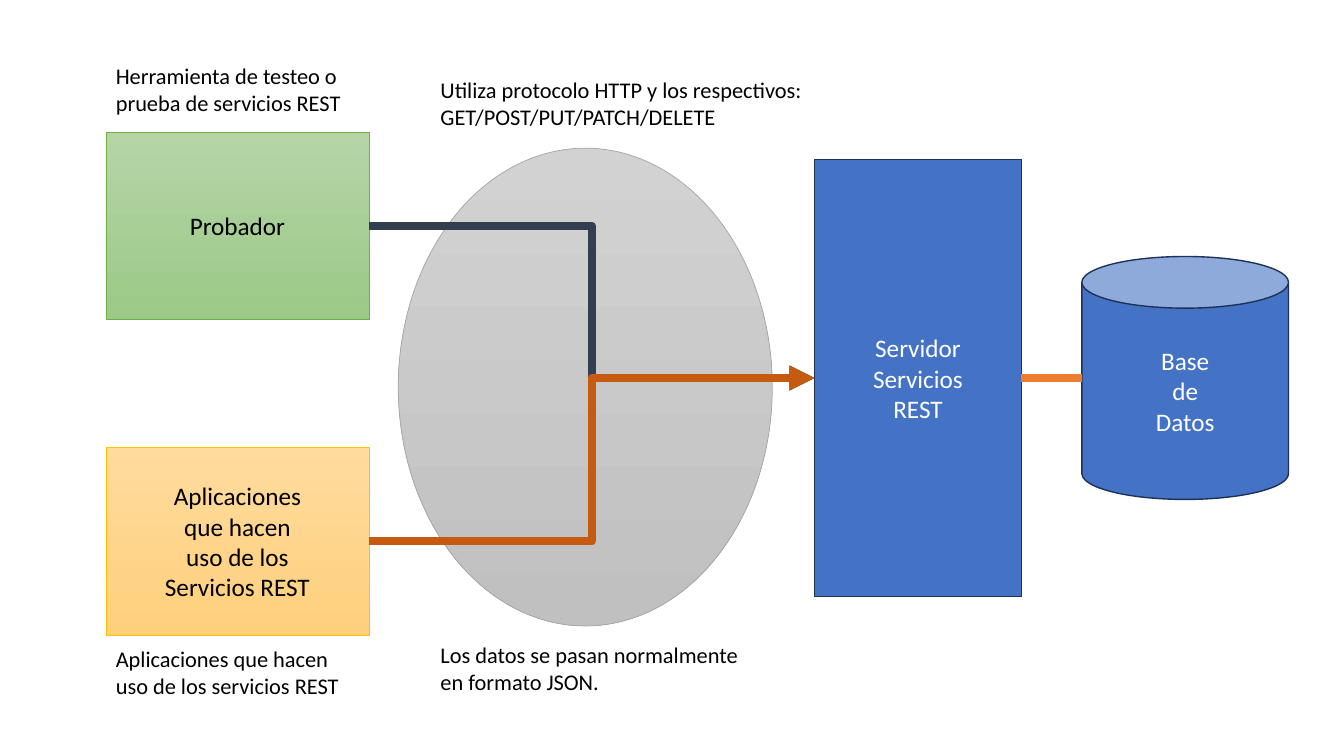
from lxml import etree
from pptx import Presentation
from pptx.dml.color import RGBColor
from pptx.enum.shapes import MSO_CONNECTOR, MSO_SHAPE
from pptx.enum.text import MSO_ANCHOR, MSO_AUTO_SIZE, PP_ALIGN
from pptx.oxml.ns import qn
from pptx.util import Inches, Pt

RECTANGLE, OVAL, CAN = MSO_SHAPE.RECTANGLE, MSO_SHAPE.OVAL, MSO_SHAPE.CAN
STRAIGHT, ELBOW = MSO_CONNECTOR.STRAIGHT, MSO_CONNECTOR.ELBOW
CENTER, LEFT = PP_ALIGN.CENTER, PP_ALIGN.LEFT
MIDDLE, TOP = MSO_ANCHOR.MIDDLE, MSO_ANCHOR.TOP
FIT_SHAPE = MSO_AUTO_SIZE.SHAPE_TO_FIT_TEXT
RIGHT_SITE, LEFT_SITE = 3, 1

COLORS = {
    "black": "000000", "white": "FFFFFF",
    "blue": "4472C4", "navy": "1E3256", "slate": "333F50",
    "orange": "ED7D31", "rust": "C55A11",
    "gray_light": "D2D2D2", "gray_dark": "C0C0C0", "gray_line": "A5A5A5",
    "green_light": "B5D5A7", "green_dark": "9CC987", "green_line": "70AD47",
    "yellow_light": "FFDB9E", "yellow_dark": "FFD07C", "yellow_line": "FFC000",
}
STYLES = {
    "network": {"fill": ("gray_light", "gray_dark"), "line": "gray_line", "width": 0.5, "text": "black"},
    "tester": {"fill": ("green_light", "green_dark"), "line": "green_line", "width": 0.5, "text": "black"},
    "apps": {"fill": ("yellow_light", "yellow_dark"), "line": "yellow_line", "width": 0.5, "text": "black"},
    "backend": {"fill": ("blue",), "line": "navy", "width": 1, "text": "white"},
}
LABEL_FORMAT = {"word_wrap": True, "vertical_anchor": MIDDLE}
CAPTION_FORMAT = {"word_wrap": True, "vertical_anchor": TOP, "auto_size": FIT_SHAPE}
CAPTION_HEIGHT = 0.64


def color(name):
    """Return the named colour."""
    return RGBColor.from_string(COLORS[name])


def write_text(shape, text, frame_format, alignment, size, text_color):
    """Fill a shape with formatted text."""
    frame = shape.text_frame
    for name, value in frame_format.items():
        setattr(frame, name, value)
    frame.text = text
    font_format = {"name": "Calibri", "size": Pt(size)}
    for paragraph in frame.paragraphs:
        paragraph.alignment = alignment
        for run in paragraph.runs:
            for name, value in font_format.items():
                setattr(run.font, name, value)
            run.font.color.rgb = color(text_color)


def add_block(slide, kind, box, style_name, text=""):
    """Draw a filled shape with a centred label."""
    style = STYLES[style_name]
    shape = slide.shapes.add_shape(kind, *map(Inches, box))
    shape.shadow.inherit = False
    if len(style["fill"]) == 1:
        shape.fill.solid()
        shape.fill.fore_color.rgb = color(style["fill"][0])
    else:
        shape.fill.gradient()
        shape.fill.gradient_angle = 270
        for stop, name in zip(shape.fill.gradient_stops, style["fill"]):
            stop.color.rgb = color(name)
    shape.line.color.rgb = color(style["line"])
    shape.line.width = Pt(style["width"])
    if text:
        write_text(shape, text, LABEL_FORMAT, CENTER, 18, style["text"])
    return shape


def add_caption(slide, left, top, width, text):
    """Place a plain caption."""
    caption = slide.shapes.add_textbox(*map(Inches, (left, top, width, CAPTION_HEIGHT)))
    write_text(caption, text, CAPTION_FORMAT, LEFT, 16, "black")


def add_link(slide, kind, source, target, line_color, arrow=False):
    """Join the right side of one shape to the left side of another."""
    link = slide.shapes.add_connector(
        kind,
        source.left + source.width, source.top + source.height // 2,
        target.left, target.top + target.height // 2,
    )
    link.line.color.rgb = color(line_color)
    link.line.width = Pt(6)
    if arrow:
        link.begin_connect(source, RIGHT_SITE)
        link.end_connect(target, LEFT_SITE)
        etree.SubElement(link.line._get_or_add_ln(), qn("a:tailEnd"), type="triangle")
    etree.SubElement(link._element.spPr, qn("a:effectLst"))


def add_network(slide, box):
    """Draw the network ellipse with its captions above and below."""
    left, top, width, height = box
    add_block(slide, OVAL, box, "network")
    add_caption(slide, left + 0.32, top - 0.76, 3.92,
                "Utiliza protocolo HTTP y los respectivos: GET/POST/PUT/PATCH/DELETE")
    add_caption(slide, left + 0.32, top + height + 0.1, 3.21,
                "Los datos se pasan normalmente en formato JSON.")


def add_backend(slide, box):
    """Draw the server linked to its database and return the server."""
    left, top, width, height = box
    block_width, database_height = 2.05, 2.41
    server = add_block(slide, RECTANGLE, (left, top, block_width, height), "backend",
                       "Servidor\nServicios\nREST")
    database_box = (left + width - block_width, top + (height - database_height) / 2,
                    block_width, database_height)
    database = add_block(slide, CAN, database_box, "backend", "Base\nde\nDatos")
    add_link(slide, STRAIGHT, server, database, "orange")
    return server


def add_clients(slide, box, server):
    """Draw both clients with captions and arrows to the server."""
    left, top, width, height = box
    block_height = 1.86
    tester = add_block(slide, RECTANGLE, (left, top, width, block_height), "tester", "Probador")
    apps = add_block(slide, RECTANGLE, (left, top + height - block_height, width, block_height),
                     "apps", "Aplicaciones\vque hacen\vuso de los\vServicios REST")
    add_caption(slide, left, top - 0.74, width, "Herramienta de testeo o prueba de servicios REST")
    add_caption(slide, left, top + height + 0.05, width,
                "Aplicaciones que hacen uso de los servicios REST")
    for client, line_color in ((tester, "slate"), (apps, "rust")):
        add_link(slide, ELBOW, client, server, line_color, arrow=True)


def main():
    """Build and save the slide."""
    presentation = Presentation()
    presentation.slide_width, presentation.slide_height = Inches(13.33), Inches(7.5)
    slide = presentation.slides.add_slide(presentation.slide_layouts[6])
    add_network(slide, (3.95, 1.47, 3.71, 4.74))
    server = add_backend(slide, (8.08, 1.58, 4.7, 4.34))
    add_clients(slide, (1.05, 1.31, 2.61, 4.99), server)
    presentation.save("out.pptx")


if __name__ == "__main__":
    main()
